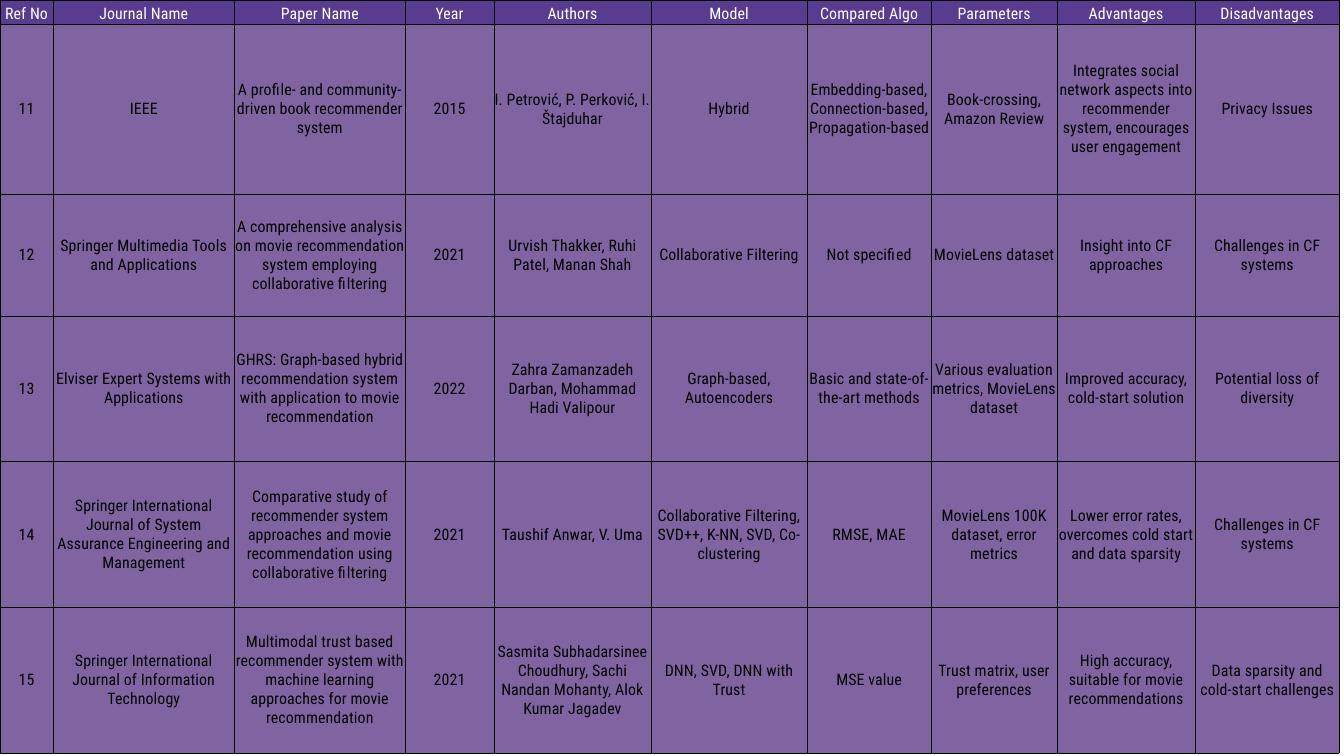
from lxml import etree
from pptx import Presentation
from pptx.dml.color import RGBColor
from pptx.enum.text import MSO_ANCHOR as Anchor, PP_ALIGN as Align
from pptx.oxml.ns import qn
from pptx.util import Pt

PX = 9144  # 100 px to the inch
COLUMN_WIDTHS = [79, 270, 254, 132, 234, 232, 185, 187, 206, 214]
HEADER_HEIGHT = 40
BODY_TOP = 36
BODY_HEIGHTS = [253, 181, 217, 217, 217]

HEADINGS = ["Ref No", "Journal Name", "Paper Name", "Year", "Authors", "Model",
            "Compared Algo", "Parameters", "Advantages", "Disadvantages"]
PAPERS = [
    ["11", "IEEE", "A profile- and community-driven book recommender system", "2015",
     "I. Petrović, P. Perković, I. Štajduhar", "Hybrid",
     "Embedding-based, Connection-based, Propagation-based",
     "Book-crossing, Amazon Review",
     "Integrates social network aspects into recommender system, encourages user engagement",
     "Privacy Issues"],
    ["12", "Springer Multimedia Tools and Applications",
     "A comprehensive analysis on movie recommendation system employing collaborative filtering",
     "2021", "Urvish Thakker, Ruhi Patel, Manan Shah", "Collaborative Filtering",
     "Not specified", "MovieLens dataset", "Insight into CF approaches",
     "Challenges in CF systems"],
    ["13", "Elviser Expert Systems with Applications",
     "GHRS: Graph-based hybrid recommendation system with application to movie recommendation",
     "2022", "Zahra Zamanzadeh Darban, Mohammad Hadi Valipour",
     "Graph-based, Autoencoders", "Basic and state-of-the-art methods",
     "Various evaluation metrics, MovieLens dataset",
     "Improved accuracy, cold-start solution", "Potential loss of diversity"],
    ["14", "Springer International Journal of System Assurance Engineering and Management",
     "Comparative study of recommender system approaches and movie recommendation "
     "using collaborative filtering",
     "2021", "Taushif Anwar, V. Uma",
     "Collaborative Filtering, SVD++, K-NN, SVD, Co-clustering", "RMSE, MAE",
     "MovieLens 100K dataset, error metrics",
     "Lower error rates, overcomes cold start and data sparsity",
     "Challenges in CF systems"],
    ["15", "Springer International Journal of Information Technology",
     "Multimodal trust based recommender system with machine learning approaches "
     "for movie recommendation",
     "2021", "Sasmita Subhadarsinee Choudhury, Sachi Nandan Mohanty, Alok Kumar Jagadev",
     "DNN, SVD, DNN with Trust", "MSE value", "Trust matrix, user preferences",
     "High accuracy, suitable for movie recommendations",
     "Data sparsity and cold-start challenges"],
]


def rgb(value):
    return RGBColor.from_string(value)


def apply(target, values):
    for name, value in values.items():
        setattr(target, name, value)


class TablePage:
    """Table style and the page it is drawn on."""

    cell_format = {"vertical_anchor": Anchor.MIDDLE, "margin_left": PX, "margin_right": PX,
                   "margin_top": PX, "margin_bottom": PX}
    para_format = {"alignment": Align.CENTER, "line_spacing": Pt(20.4)}
    font_format = {"name": "Roboto Condensed", "size": Pt(17), "bold": False}
    table_format = {"first_row": False, "horz_banding": False}
    border_color, border_width = "000000", Pt(0.37)

    def __init__(self, page):
        self.page = page

    def table(self, top, heights, rows, fill, color):
        frame = self.page.shapes.add_table(
            len(rows), len(COLUMN_WIDTHS), 0, top * PX,
            sum(COLUMN_WIDTHS) * PX, sum(heights) * PX)
        table = frame.table
        apply(table, self.table_format)
        for column, width in zip(table.columns, COLUMN_WIDTHS):
            column.width = width * PX
        for row, height, texts in zip(table.rows, heights, rows):
            row.height = height * PX
            for cell, text in zip(row.cells, texts):
                self.cell(cell, text, fill, color)

    def cell(self, cell, text, fill, color):
        apply(cell, self.cell_format)
        self.borders(cell)
        cell.fill.solid()
        cell.fill.fore_color.rgb = rgb(fill)
        para = cell.text_frame.paragraphs[0]
        apply(para, self.para_format)
        span = para.add_run()
        span.text = text
        apply(span.font, self.font_format)
        span.font.color.rgb = rgb(color)
        span.font._element.set("spc", "10")

    def borders(self, cell):
        properties = cell._tc.get_or_add_tcPr()
        for side in ("lnL", "lnR", "lnT", "lnB"):
            line = etree.SubElement(properties, qn(f"a:{side}"), w=str(self.border_width))
            paint = etree.SubElement(line, qn("a:solidFill"))
            etree.SubElement(paint, qn("a:srgbClr"), val=self.border_color)


def main():
    deck = Presentation()
    deck.slide_width, deck.slide_height = 2000 * PX, 1125 * PX
    review = TablePage(deck.slides.add_slide(deck.slide_layouts[6]))

    # Column headings
    review.table(0, [HEADER_HEIGHT], [HEADINGS], "593C8F", "FFFFFF")

    # Reviewed papers
    review.table(BODY_TOP, BODY_HEIGHTS, PAPERS, "8064A2", "000000")

    deck.save("out.pptx")


if __name__ == "__main__":
    main()
